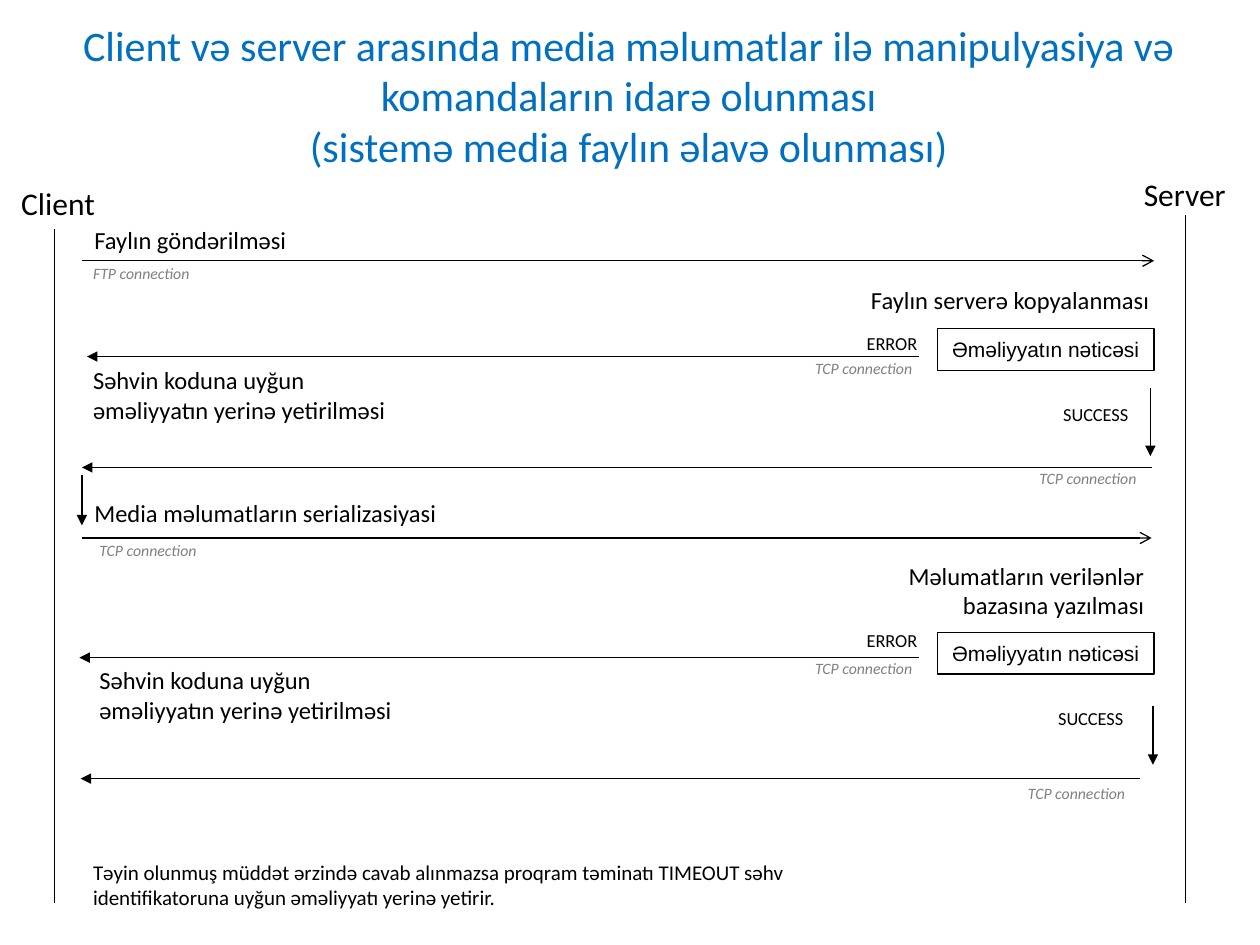
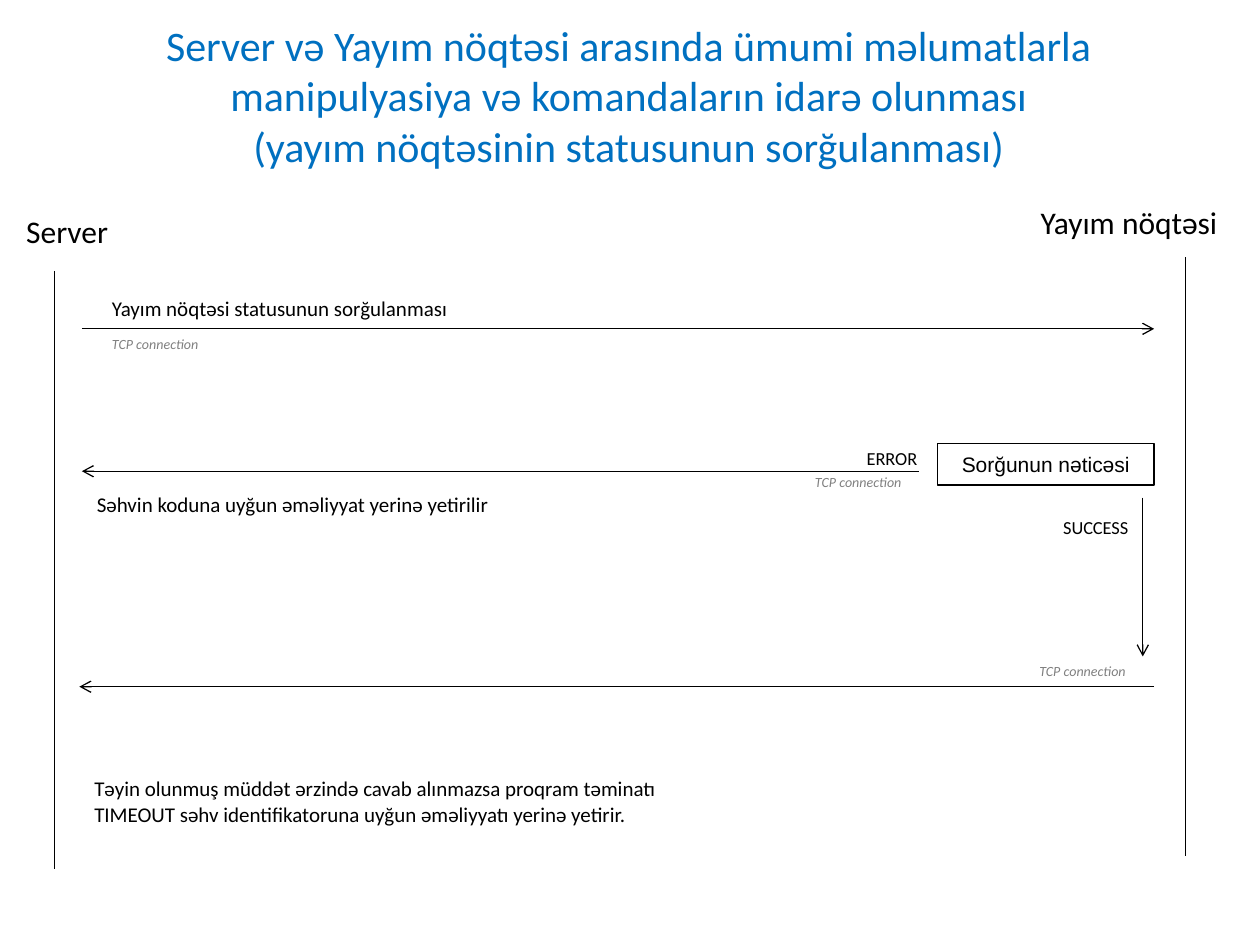
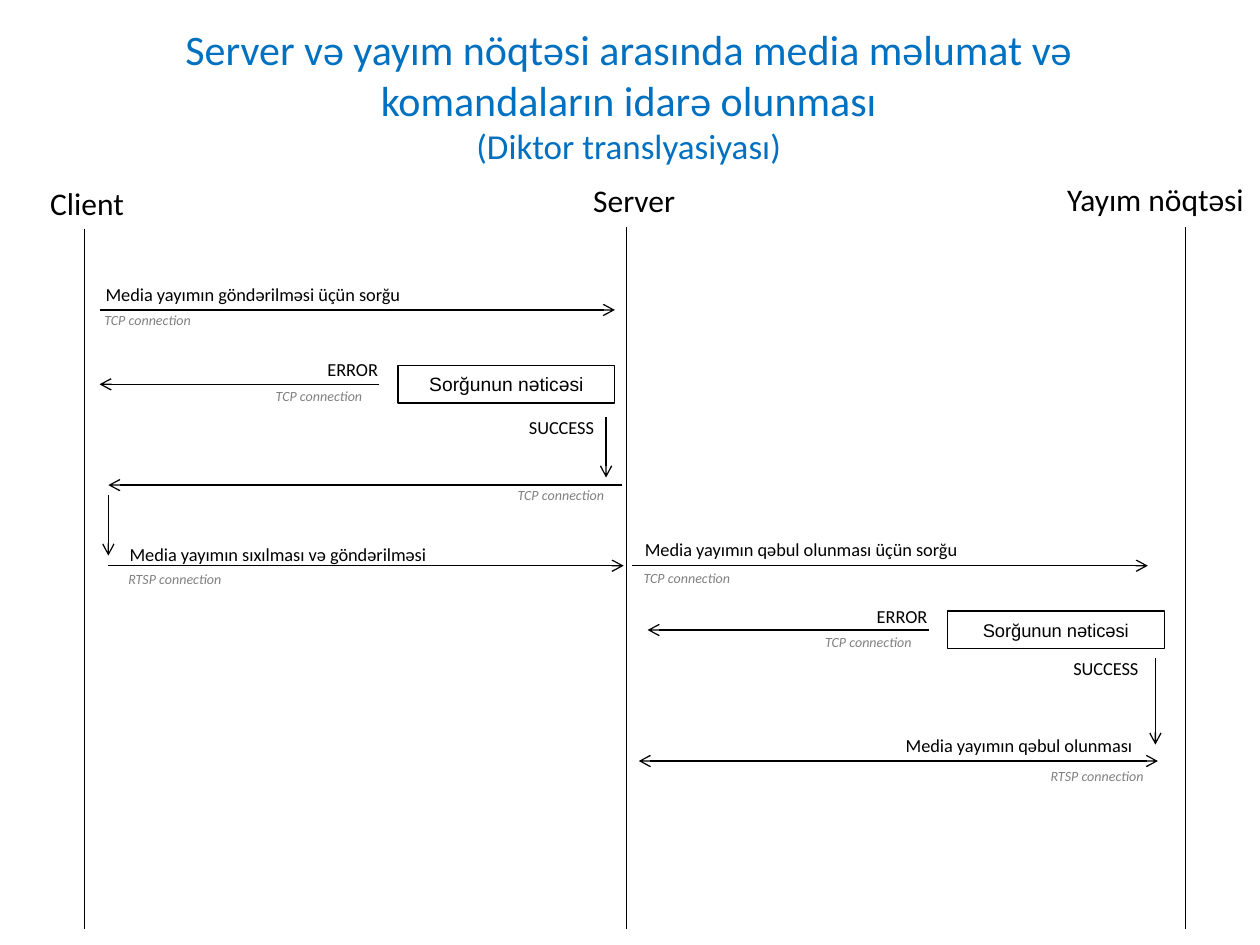
from dataclasses import dataclass
from typing import Any

from pptx import Presentation
from pptx import util as u
from pptx.dml.color import RGBColor
from pptx.enum import shapes, text
from pptx.oxml import ns
from pptx.oxml import xmlchemy as xml

# Grid: 100 columns by 75 rows
SLIDE_WIDTH, SLIDE_HEIGHT = u.Inches(10), u.Inches(7.5)
COLUMN, ROW = SLIDE_WIDTH / 100, SLIDE_HEIGHT / 75

BLACK = RGBColor(0x00, 0x00, 0x00)
GRAY = RGBColor(0x80, 0x80, 0x80)
BLUE = RGBColor(0x00, 0x70, 0xC0)

LEFT, CENTER, RIGHT = text.PP_ALIGN.LEFT, text.PP_ALIGN.CENTER, text.PP_ALIGN.RIGHT
OPEN, SOLID = "arrow", "triangle"

TCP, FTP, RTSP = "TCP connection", "FTP connection", "RTSP connection"
OPERATION_RESULT, QUERY_RESULT = "Əməliyyatın nəticəsi", "Sorğunun nəticəsi"
ERROR_STEP = "Səhvin koduna uyğun əməliyyatın yerinə yetirilməsi"
TIMEOUT = ("Təyin olunmuş müddət ərzində cavab alınmazsa proqram təminatı "
           "TIMEOUT səhv identifikatoruna uyğun əməliyyatı yerinə yetirir.")
CLIENT, SERVER, BROADCAST = "Client", "Server", "Yayım nöqtəsi"
NAME_WIDTHS = {CLIENT: 7.9, SERVER: 8.6, BROADCAST: 16.2}


@dataclass(frozen=True)
class Participant:
    name: str
    name_x: float
    name_y: float
    line_x: float
    top: float
    bottom: float


@dataclass(frozen=True)
class Step:
    text: str
    x: float
    y: float
    width: float
    size: float = 14
    lines: int = 1
    align: Any = LEFT


@dataclass(frozen=True)
class Link:
    """Name of the protocol that carries a message."""
    protocol: str
    x: float
    y: float


@dataclass(frozen=True)
class Arrow:
    x1: float
    y1: float
    x2: float
    y2: float
    tail: str = OPEN
    head: str = ""


@dataclass(frozen=True)
class Outcome:
    """Result box with its error reply and its success branch."""
    text: str
    x: float
    y: float
    height: float
    size: float
    error_y: float
    reply_x: float
    reply_y: float
    link_y: float
    success_y: float
    down: tuple[float, float, float]
    tip: str = OPEN
    success_dx: float = 9


@dataclass(frozen=True)
class Diagram:
    title: list[tuple[str, float]]
    link_size: float
    participants: list[Participant]
    steps: list[Step]
    links: list[Link]
    arrows: list[Arrow]
    outcomes: list[Outcome]


DIAGRAMS = [
    Diagram(
        [("Client və server arasında media məlumatlar ilə manipulyasiya və "
          "komandaların idarə olunması", 24),
         ("(sistemə media faylın əlavə olunması)", 24)],
        9,
        [Participant(CLIENT, 0.7, 14.1, 4.3, 18.2, 71.7),
         Participant(SERVER, 89.8, 13.4, 94.1, 17.1, 71.7)],
        [Step("Faylın göndərilməsi", 6.5, 17.4, 17.4),
         Step("Faylın serverə kopyalanması", 68, 22.1, 24.2, align=RIGHT),
         Step(ERROR_STEP, 6.4, 28.5, 26.4, lines=2),
         Step("Media məlumatların serializasiyasi", 6.5, 39, 29.5),
         Step("Məlumatların verilənlər bazasına yazılması", 67.6, 44, 24.2,
              lines=2, align=RIGHT),
         Step(ERROR_STEP, 6.9, 52.3, 26.4, lines=2),
         Step(TIMEOUT, 6.4, 67.7, 64.3, size=12, lines=2)],
        [Link(FTP, 6.4, 20.4), Link(TCP, 81.5, 36.7),
         Link(TCP, 6.9, 42.4), Link(TCP, 80.6, 61.7)],
        [Arrow(6.5, 20.7, 91.6, 20.7),
         Arrow(91.4, 37.1, 6.5, 37.1, SOLID),
         Arrow(6.5, 37.7, 6.5, 41.7, SOLID),
         Arrow(6.5, 42.7, 91.4, 42.7),
         Arrow(90.5, 61.8, 6.4, 61.8, SOLID)],
        [Outcome(OPERATION_RESULT, 74.4, 26.1, 3.3, 12, 25.9, 6.9, 28.3, 28,
                 31.5, (91.3, 30.8, 36.2), SOLID),
         Outcome(OPERATION_RESULT, 74.4, 50.2, 3.3, 12, 49.4, 6.3, 52.2, 51.8,
                 55.6, (91.5, 56, 60.7), SOLID, 8.6)]),
    Diagram(
        [("Server və Yayım nöqtəsi arasında ümumi məlumatlarla manipulyasiya "
          "və komandaların idarə olunması", 24),
         ("(yayım nöqtəsinin statusunun sorğulanması)", 24)],
        8,
        [Participant(SERVER, 1.1, 16.3, 4.3, 21.5, 69),
         Participant(BROADCAST, 81.6, 15.6, 94.1, 20.4, 67.9)],
        [Step("Yayım nöqtəsi statusunun sorğulanması", 7.9, 23, 28.9, 12),
         Step("Səhvin koduna uyğun əməliyyat yerinə yetirilir", 6.7, 38.5, 33.4, 12),
         Step(TIMEOUT, 6.5, 61.1, 50.7, 12, 2)],
        [Link(TCP, 7.9, 26.1), Link(TCP, 81.5, 52.1)],
        [Arrow(6.5, 26.1, 91.6, 26.1), Arrow(91.6, 54.5, 6.3, 54.5)],
        [Outcome(QUERY_RESULT, 74.4, 35.2, 3.3, 12, 35, 6.5, 37.4, 37.1,
                 40.5, (90.7, 39.5, 52.1))]),
    Diagram(
        [("Server və yayım nöqtəsi arasında media məlumat və komandaların "
          "idarə olunması", 24),
         ("(Diktor translyasiyası)", 20)],
        8,
        [Participant(CLIENT, 3, 14.1, 6.7, 18.2, 73.7),
         Participant(SERVER, 46.1, 13.9, 49.7, 18, 73.7),
         Participant(BROADCAST, 83.7, 13.8, 94.1, 18, 73.7)],
        [Step("Media yayımın göndərilməsi üçün sorğu", 7.4, 22, 25.8, 10.5),
         Step("Media yayımın sıxılması və göndərilməsi", 9.3, 42.6, 25.9, 10.5),
         Step("Media yayımın qəbul olunması üçün sorğu", 50.2, 42.2, 27.5, 10.5),
         Step("Media yayımın qəbul olunması", 70.9, 57.8, 20.3, 10.5)],
        [Link(TCP, 7.3, 24.2), Link(TCP, 40.1, 38.1), Link(RTSP, 9.2, 44.8),
         Link(TCP, 50.1, 44.7), Link(RTSP, 82.4, 60.4)],
        [Arrow(7.9, 24.6, 48.8, 24.6), Arrow(49.4, 38.5, 8.6, 38.5),
         Arrow(8.6, 39.3, 8.6, 44.1), Arrow(8.6, 44.9, 49.5, 44.9),
         Arrow(50.2, 44.9, 91.1, 44.9), Arrow(50.7, 60.4, 91.9, 60.4, head=OPEN)],
        [Outcome(QUERY_RESULT, 31.6, 29, 3, 11, 27.9, 7.9, 30.5, 30.3,
                 32.5, (48.1, 33.1, 37.9), success_dx=9.4),
         Outcome(QUERY_RESULT, 75.2, 48.5, 3, 10.5, 47.5, 51.4, 50, 49.8,
                 51.7, (91.7, 52.2, 59.1))]),
]


def place(*lengths: float) -> list[int]:
    """Turn alternating columns and rows into slide lengths."""
    return [round(n * (ROW if i % 2 else COLUMN)) for i, n in enumerate(lengths)]


def assign(target: Any, values: dict[str, Any]) -> None:
    for name, value in values.items():
        setattr(target, name, value)


def write(run: Any, size: float, color: RGBColor = BLACK, **font: Any) -> None:
    assign(run.font, {"name": "Calibri", "size": u.Pt(size), **font})
    run.font.color.rgb = color


def draw_label(slide: Any, words: str, x: float, y: float, width: float, size: float,
               lines: int = 1, align: Any = LEFT, color: RGBColor = BLACK,
               italic: bool = False) -> None:
    height = lines * size / 6 + 1  # line height of 1.2 plus the insets, in rows
    frame = slide.shapes.add_textbox(*place(x, y, width, height)).text_frame
    assign(frame, {"word_wrap": lines > 1 or align == RIGHT,
                   "auto_size": text.MSO_AUTO_SIZE.SHAPE_TO_FIT_TEXT})
    paragraph = frame.paragraphs[0]
    paragraph.alignment = align
    run = paragraph.add_run()
    run.text = words
    write(run, size, color, italic=italic)


def draw_line(slide: Any, x1: float, y1: float, x2: float, y2: float,
              tail: str = "", head: str = "") -> None:
    line = slide.shapes.add_connector(shapes.MSO_CONNECTOR.STRAIGHT,
                                      *place(x1, y1, x2, y2))
    line.line.color.rgb = BLACK
    line.line.width = u.Pt(0.75)
    properties = line.element.spPr
    for tag, tip in (("a:headEnd", head), ("a:tailEnd", tail)):
        if tip:
            end = xml.OxmlElement(tag)
            end.set("type", tip)
            properties.find(ns.qn("a:ln")).append(end)
    properties.append(xml.OxmlElement("a:effectLst"))


def draw_title(slide: Any, title: list[tuple[str, float]]) -> None:
    frame = slide.shapes.add_textbox(*place(4.9, 1.3, 90, 12.5)).text_frame
    assign(frame, {"word_wrap": True, "vertical_anchor": text.MSO_ANCHOR.MIDDLE})
    paragraph = frame.paragraphs[0]
    paragraph.alignment = CENTER
    for index, (words, size) in enumerate(title):
        if index:
            paragraph.add_line_break()
        run = paragraph.add_run()
        run.text = words
        write(run, size, BLUE)


def draw_link(slide: Any, link: Link, size: float) -> None:
    width = 9.5 if link.protocol == RTSP else 9 if size == 8 else 9.8
    draw_label(slide, link.protocol, link.x, link.y, width, size, color=GRAY, italic=True)


def draw_outcome(slide: Any, outcome: Outcome, link_size: float) -> None:
    x = outcome.x
    box = slide.shapes.add_shape(shapes.MSO_SHAPE.RECTANGLE,
                                 *place(x, outcome.y, 17.2, outcome.height))
    box.shadow.inherit = False
    box.fill.background()
    box.line.color.rgb = BLACK
    box.line.width = u.Pt(0.75)
    assign(box.text_frame, {"word_wrap": False,
                            "vertical_anchor": text.MSO_ANCHOR.MIDDLE})
    paragraph = box.text_frame.paragraphs[0]
    paragraph.alignment = CENTER
    run = paragraph.add_run()
    run.text = outcome.text
    write(run, outcome.size, name="Arial")

    # Error reply to the left, success branch downwards
    draw_label(slide, "ERROR", x - 6.6, outcome.error_y, 6.1, 10.5)
    draw_line(slide, x - 1.5, outcome.reply_y, outcome.reply_x, outcome.reply_y, outcome.tip)
    draw_link(slide, Link(TCP, x - 10.7, outcome.link_y), link_size)
    draw_label(slide, "SUCCESS", x + outcome.success_dx, outcome.success_y, 7.3, 10.5)
    down_x, start, end = outcome.down
    draw_line(slide, down_x, start, down_x, end, outcome.tip)


def draw_diagram(slide: Any, diagram: Diagram) -> None:
    draw_title(slide, diagram.title)
    for who in diagram.participants:
        draw_line(slide, who.line_x, who.top, who.line_x, who.bottom)
        draw_label(slide, who.name, who.name_x, who.name_y, NAME_WIDTHS[who.name], 18)
    for step in diagram.steps:
        draw_label(slide, step.text, step.x, step.y, step.width, step.size,
                   step.lines, step.align)
    for link in diagram.links:
        draw_link(slide, link, diagram.link_size)
    for arrow in diagram.arrows:
        draw_line(slide, arrow.x1, arrow.y1, arrow.x2, arrow.y2, arrow.tail, arrow.head)
    for outcome in diagram.outcomes:
        draw_outcome(slide, outcome, diagram.link_size)


def main() -> None:
    deck = Presentation()
    assign(deck, {"slide_width": SLIDE_WIDTH, "slide_height": SLIDE_HEIGHT})
    for diagram in DIAGRAMS:
        draw_diagram(deck.slides.add_slide(deck.slide_layouts[6]), diagram)
    deck.save("out.pptx")


if __name__ == "__main__":
    main()
